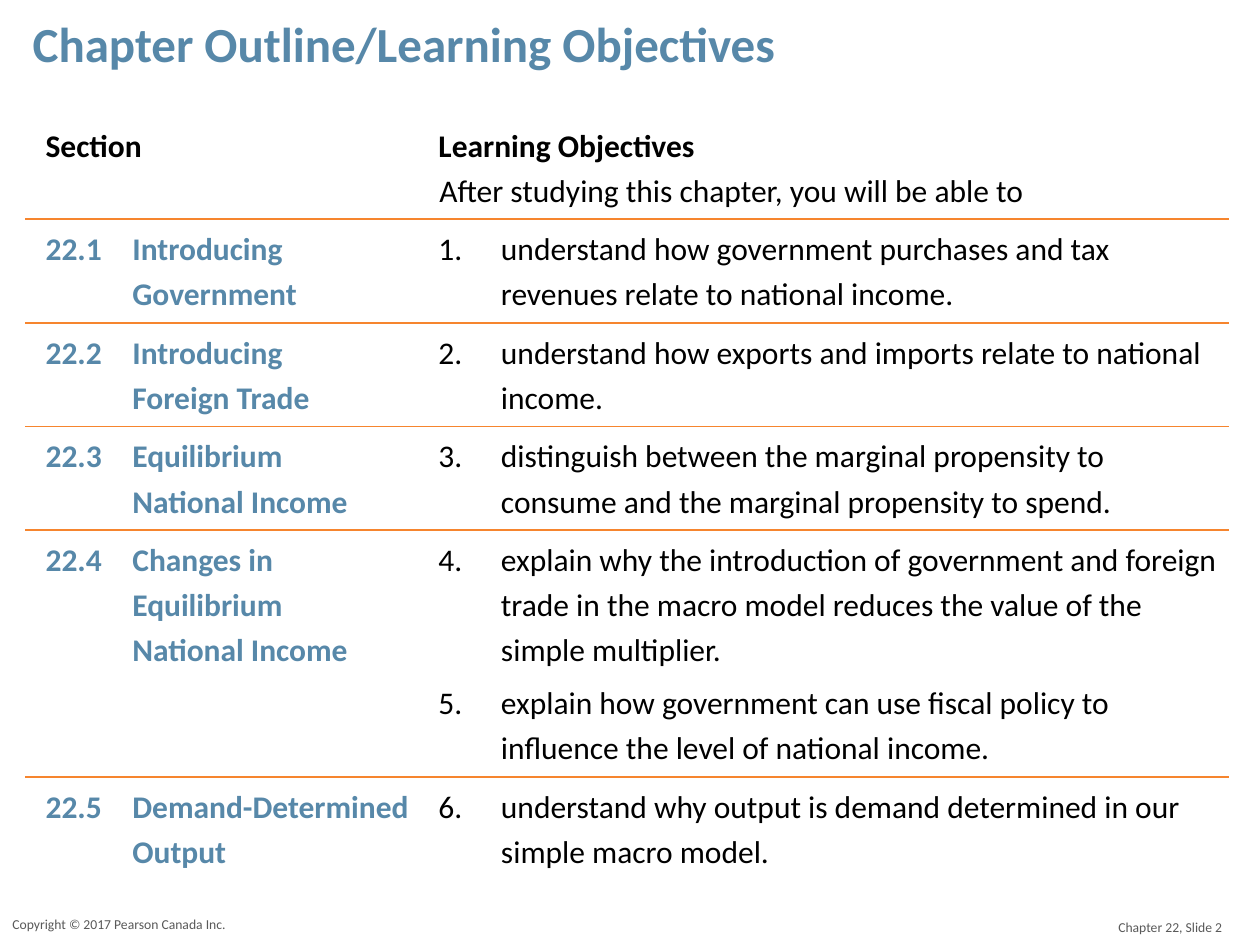
from lxml import etree
from pptx import Presentation
from pptx.dml.color import RGBColor
from pptx.enum.shapes import MSO_CONNECTOR
from pptx.enum.text import MSO_ANCHOR, MSO_AUTO_SIZE, PP_ALIGN
from pptx.oxml.ns import qn
from pptx.util import Cm, Pt

STRAIGHT = MSO_CONNECTOR.STRAIGHT
TOP, MIDDLE = MSO_ANCHOR.TOP, MSO_ANCHOR.MIDDLE
LEFT, RIGHT = PP_ALIGN.LEFT, PP_ALIGN.RIGHT
FIXED, GROW = MSO_AUTO_SIZE.NONE, MSO_AUTO_SIZE.SHAPE_TO_FIT_TEXT
COLORS = {"heading": "5788A9", "text": "000000", "rule": "F6852E", "footer": "595959"}

SECTION_X, NAME_X, NUMBER_X, OBJECTIVE_X = 0.92, 2.67, 8.84, 10.1
LINE_H, LINE_STEP = 0.76, 0.91
ROW_PAD, ROW_GAP, OBJECTIVE_GAP = 0.2, 0.27, 0.15

ROWS = [
    ([("Introducing", 3.2), ("Government", 3.35)],
     [[("understand how government purchases and tax", 12.5),
       ("revenues relate to national income.", 9.34)]]),
    ([("Introducing", 3.2), ("Foreign Trade", 3.65)],
     [[("understand how exports and imports relate to national", 14.35),
       ("income.", 2.08)]]),
    ([("Equilibrium", 3.2), ("National Income", 4.4)],
     [[("distinguish between the marginal propensity to", 12.4),
       ("consume and the marginal propensity to spend.", 12.36)]]),
    ([("Changes in", 3), ("Equilibrium", 3.2), ("National Income", 4.4)],
     [[("explain why the introduction of government and foreign", 14.68),
       ("trade in the macro model reduces the value of the", 13.13),
       ("simple multiplier.", 4.52)],
      [("explain how government can use fiscal policy to", 12.47),
       ("influence the level of national income.", 9.9)]]),
    ([("Demand-Determined", 5.76), ("Output", 1.93)],
     [[("understand why output is demand determined in our", 13.91),
       ("simple macro model.", 5.43)]]),
]

prs = Presentation()
prs.slide_width, prs.slide_height = Cm(25.4), Cm(19.05)
s = prs.slides.add_slide(prs.slide_layouts[6])


def add_text(text, x, y, w, h=LINE_H, size=18, color="text", bold=False,
             align=LEFT, anchor=TOP, inset=(0, 0), wrap=False, spacing=None):
    sp = s.shapes.add_textbox(Cm(x), Cm(y), Cm(w), Cm(h))
    tf = sp.text_frame
    tf.word_wrap = wrap
    tf.auto_size = FIXED if wrap else GROW
    tf.vertical_anchor = anchor
    tf.margin_left = tf.margin_right = Cm(inset[0])
    tf.margin_top = tf.margin_bottom = Cm(inset[1])
    p = tf.paragraphs[0]
    p.alignment = align
    p.line_spacing = spacing
    r = p.add_run()
    r.text = text
    r.font.name = "Calibri"
    r.font.size = Pt(size)
    r.font.bold = bold
    r.font.color.rgb = RGBColor.from_string(COLORS[color])


add_text("Chapter Outline/Learning Objectives", 0.41, 0.05, 22.86, 1.63, size=28,
         color="heading", bold=True, anchor=MIDDLE, inset=(0.25, 0.13), wrap=True)
add_text("Copyright © 2017 Pearson Canada Inc.", 0, 18.39, 8.05, 0.61, size=7.8,
         color="footer", inset=(0.25, 0.13), wrap=True, spacing=0.8)
add_text("Chapter 22, Slide 2", 18.97, 18.39, 5.92, 0.64, size=7.8, color="footer",
         align=RIGHT, anchor=MIDDLE, inset=(0.25, 0.13), wrap=True, spacing=0.8)

add_text("Section", SECTION_X, 2.54, 2, bold=True)
add_text("Learning Objectives", NUMBER_X, 2.54, 5.2, bold=True)
add_text("After studying this chapter, you will be able to", 8.86, 3.45, 11.88)

row_y = 4.42
number = 0
for section, (names, objectives) in enumerate(ROWS, 1):
    rule = s.shapes.add_connector(STRAIGHT, Cm(0.51), Cm(row_y), Cm(24.77), Cm(row_y))
    rule.line.color.rgb = RGBColor.from_string(COLORS["rule"])
    rule.line.width = Pt(1)
    etree.SubElement(rule._element.spPr, qn("a:effectLst"))

    y = row_y + ROW_PAD
    add_text(f"22.{section}", SECTION_X, y, 1.16, color="heading", bold=True)
    for i, (text, w) in enumerate(names):
        add_text(text, NAME_X, y + i * LINE_STEP, w, color="heading", bold=True)

    for lines in objectives:
        number += 1
        add_text(f"{number}.", NUMBER_X, y, 0.5)
        for text, w in lines:
            add_text(text, OBJECTIVE_X, y, w)
            y += LINE_STEP
        y += OBJECTIVE_GAP
    row_y = y - OBJECTIVE_GAP - ROW_PAD + ROW_GAP

prs.save("out.pptx")
